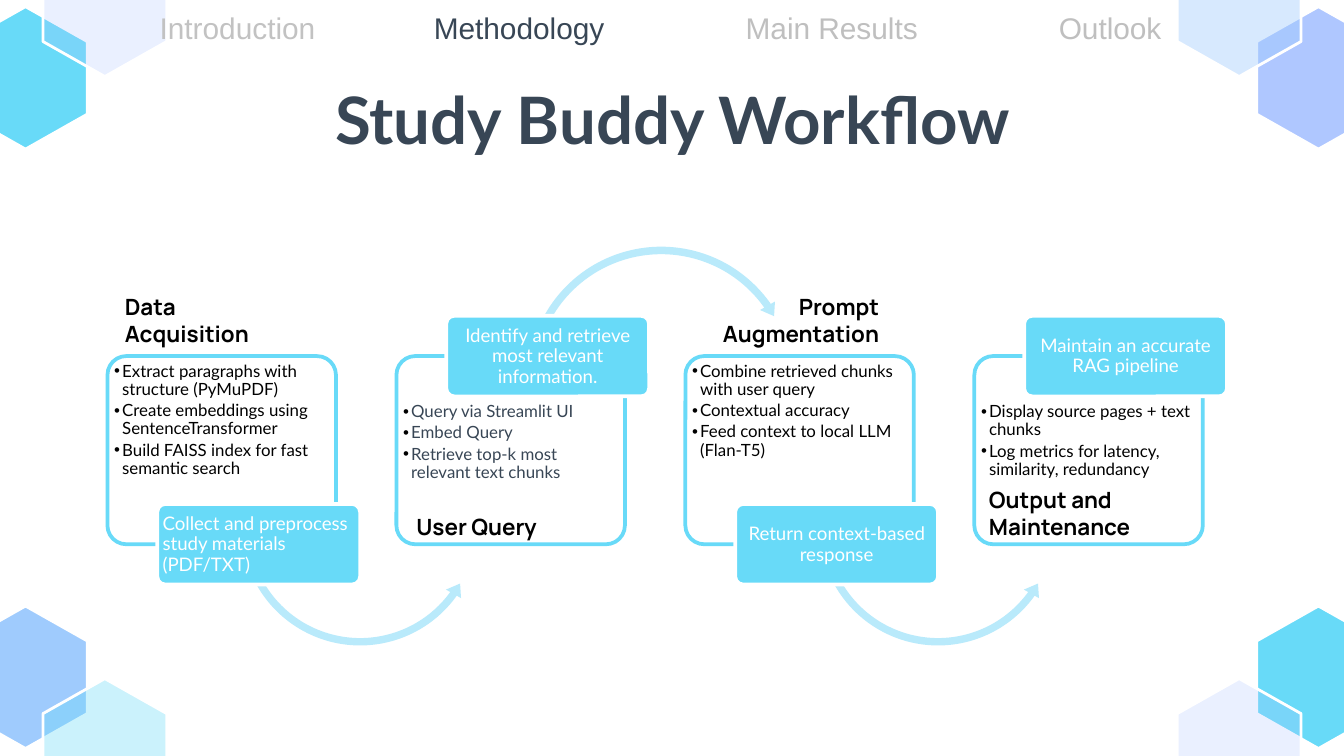
import pptx
import pptx.dml.color
import pptx.enum.shapes
import pptx.enum.text
import pptx.oxml.ns
import pptx.util
from lxml import etree

Inches, Pt = pptx.util.Inches, pptx.util.Pt
SHAPE = pptx.enum.shapes.MSO_SHAPE
ALIGN = pptx.enum.text.PP_ALIGN
ANCHOR = pptx.enum.text.MSO_ANCHOR
qn = pptx.oxml.ns.qn

CYAN, PALE_CYAN, BLUE, LILAC = "68DAF8", "B9EAFB", "9FCBFD", "AFC7FF"
WHITE, BLACK, SLATE = "FFFFFF", "000000", "384655"


def rgb(value):
    return pptx.dml.color.RGBColor.from_string(value)


def write_text(tf, paragraphs, size=12, font="Lato", color=BLACK, bold=False,
               align=None, spacing=None, after=0, bullet=False):
    """Fill a text frame with one paragraph per string."""
    for i, text in enumerate(paragraphs):
        p = tf.paragraphs[0] if i == 0 else tf.add_paragraph()
        p.alignment = align
        if spacing:
            p.line_spacing = spacing
            p.space_after = Pt(after)
        if bullet:
            pPr = p._p.get_or_add_pPr()
            pPr.set("marL", str(Inches(0.06)))
            pPr.set("indent", str(Inches(-0.06)))
            bullet_color = etree.SubElement(pPr, qn("a:buClr"))
            etree.SubElement(bullet_color, qn("a:srgbClr"), val=BLACK)
            etree.SubElement(pPr, qn("a:buFont"), typeface="Arial")
            etree.SubElement(pPr, qn("a:buChar"), char="•")
        r = p.add_run()
        r.text = text
        r.font.name, r.font.size, r.font.bold = font, Pt(size), bold
        r.font.color.rgb = rgb(color)


class Deck:
    def __init__(self, width):
        self.prs = pptx.Presentation()
        self.prs.slide_width = Inches(width)
        self.prs.slide_height = Inches(width) * 9 // 16
        self.s = self.prs.slides.add_slide(self.prs.slide_layouts[6])

    def paint(self, sp, fill, line=None, width=2, alpha=None):
        sp.shadow.inherit = False
        sp.fill.solid()
        sp.fill.fore_color.rgb = rgb(fill)
        if alpha:
            color = sp._element.spPr.find(qn("a:solidFill")).find(qn("a:srgbClr"))
            etree.SubElement(color, qn("a:alpha"), val=str(alpha * 1000))
        if line:
            sp.line.color.rgb = rgb(line)
            sp.line.width = Pt(width)
        else:
            sp.line.fill.background()

    def shape(self, kind, x, y, w, h, adjustments, fill, **style):
        sp = self.s.shapes.add_shape(kind, Inches(x), Inches(y), Inches(w), Inches(h))
        for i, value in enumerate(adjustments):
            sp.adjustments[i] = value
        self.paint(sp, fill, **style)

    def hexagon(self, x, y, fill, alpha=None):
        w, h, shoulder = 0.92, 1.06, 0.26
        corners = [(x + w / 2, y), (x, y + shoulder), (x, y + h - shoulder),
                   (x + w / 2, y + h), (x + w, y + h - shoulder), (x + w, y + shoulder)]
        points = [(Inches(px), Inches(py)) for px, py in corners]
        builder = self.s.shapes.build_freeform(*points[0])
        builder.add_line_segments(points[1:], close=True)
        self.paint(builder.convert_to_shape(), fill, line=WHITE, width=1.5, alpha=alpha)

    def text(self, x, y, w, h, *paragraphs, inset=(0.1, 0.05), anchor=ANCHOR.TOP,
             grow=False, **style):
        box = self.s.shapes.add_textbox(Inches(x), Inches(y), Inches(w), Inches(h))
        tf = box.text_frame
        tf.word_wrap = True
        tf.vertical_anchor = anchor
        tf.margin_left = tf.margin_right = Inches(inset[0])
        tf.margin_top = tf.margin_bottom = Inches(inset[1])
        if grow:
            tf.auto_size = pptx.enum.text.MSO_AUTO_SIZE.SHAPE_TO_FIT_TEXT
        write_text(tf, paragraphs, **style)

    def step(self, x, raised, bullets, label, color=BLACK, align=ALIGN.CENTER, arrow=None):
        """Card with bullets, an optional arrow to the next card, and a label."""
        self.shape(SHAPE.ROUNDED_RECTANGLE, x, 2.65, 1.7, 1.4, [0.1], WHITE,
                   line=CYAN, alpha=90)
        self.text(x + 0.03, 2.98 if raised else 2.68, 1.63, 1.04, *bullets,
                  inset=(0.02, 0.02), size=9, color=color, spacing=0.9, after=1.6,
                  bullet=True)
        if arrow:
            kind, dx, y, size, adjustments = arrow
            self.shape(kind, x + dx, y, size, size, adjustments, PALE_CYAN)
        label_x, label_y = x + 0.37, 2.35 if raised else 3.75
        self.shape(SHAPE.ROUNDED_RECTANGLE, label_x, label_y, 1.51, 0.6, [0.1], CYAN,
                   line=WHITE)
        self.text(label_x + 0.02, label_y + 0.02, 1.47, 0.57, label, inset=(0.02, 0.01),
                  anchor=ANCHOR.MIDDLE, size=10, color=WHITE, align=align, spacing=0.9)


def main():
    deck = Deck(10)

    # Corner hexagons: outer one, then the translucent inner one
    left, right = (-0.27, 0.32), (9.35, 8.76)
    top, bottom = (0.05, -0.49), (4.51, 5.05)
    for xs, ys, outer, inner, alpha in [
            (left, bottom, BLUE, CYAN, 34), (right, bottom, CYAN, LILAC, 25),
            (left, top, CYAN, LILAC, 25), (right, top, LILAC, BLUE, 41)]:
        deck.hexagon(xs[0], ys[0], outer)
        deck.hexagon(xs[1], ys[1], inner, alpha)

    # Title
    deck.text(0.79, 0.49, 8.43, 0.63, "Study Buddy Workflow", inset=(0.1, 0.1),
              size=35, color=SLATE, bold=True, align=ALIGN.CENTER)

    # Workflow steps
    under = (SHAPE.LEFT_CIRCULAR_ARROW, 0.96, 3, 1.84,
             [0.03, 3.662, 21.417, 90.245, 0.035])
    over = (SHAPE.CIRCULAR_ARROW, 0.94, 1.8, 2.06,
            [0.027, 3.252, 194.993, 125.755, 0.031])
    steps = [
        (["Extract paragraphs with structure (PyMuPDF)",
          "Create embeddings using SentenceTransformer",
          "Build FAISS index for fast semantic search"],
         "Collect and preprocess study materials (PDF/TXT)",
         dict(align=ALIGN.LEFT, arrow=under)),
        (["Query via Streamlit UI", "Embed Query",
          "Retrieve top-k most relevant text chunks"],
         "Identify and retrieve most relevant information.",
         dict(color=SLATE, arrow=over)),
        (["Combine retrieved chunks with user query", "Contextual accuracy",
          "Feed context to local LLM (Flan-T5)"],
         "Return context-based response", dict(arrow=under)),
        (["Display source pages + text chunks",
          "Log metrics for latency, similarity, redundancy"],
         "Maintain an accurate RAG pipeline", {}),
    ]
    for i, (bullets, label, style) in enumerate(steps):
        deck.step(0.8 + 2.15 * i, i % 2 == 1, bullets, label, **style)

    # Step headings
    for x, y, w, h, lines, align in [
            (0.83, 2.13, 1.71, 0.5, ["Data", "Acquisition"], ALIGN.LEFT),
            (3, 3.77, 1.23, 0.3, ["User Query"], ALIGN.LEFT),
            (7.26, 3.57, 1.42, 0.5, ["Output and Maintenance"], ALIGN.LEFT),
            (4.69, 2.13, 1.95, 0.5, ["Prompt", "Augmentation"], ALIGN.RIGHT)]:
        deck.text(x, y, w, h, *lines, grow=True, font="Manrope", bold=True, align=align)

    # Section navigation
    for x, w, name, color in [
            (1.09, 1.44, "Introduction", "C2C2C2"), (3.13, 1.57, "Methodology", SLATE),
            (5.45, 1.63, "Main Results", "BFBFBF"), (7.78, 1.29, "Outlook", "BFBFBF")]:
        deck.text(x, 0.02, w, 0.37, name, anchor=ANCHOR.MIDDLE, grow=True,
                  size=16, font="Arial", color=color)

    deck.prs.save("out.pptx")


if __name__ == "__main__":
    main()
